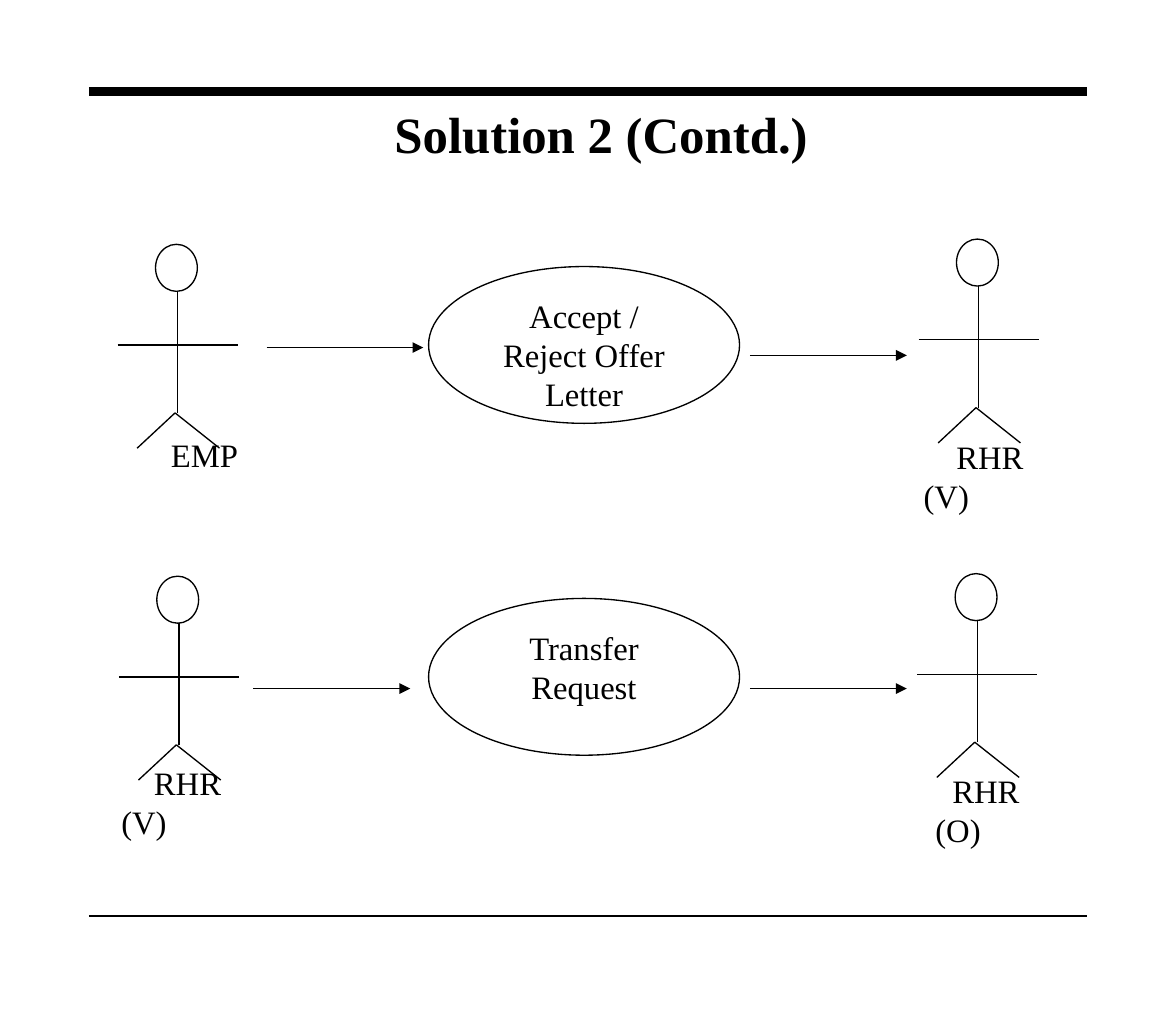
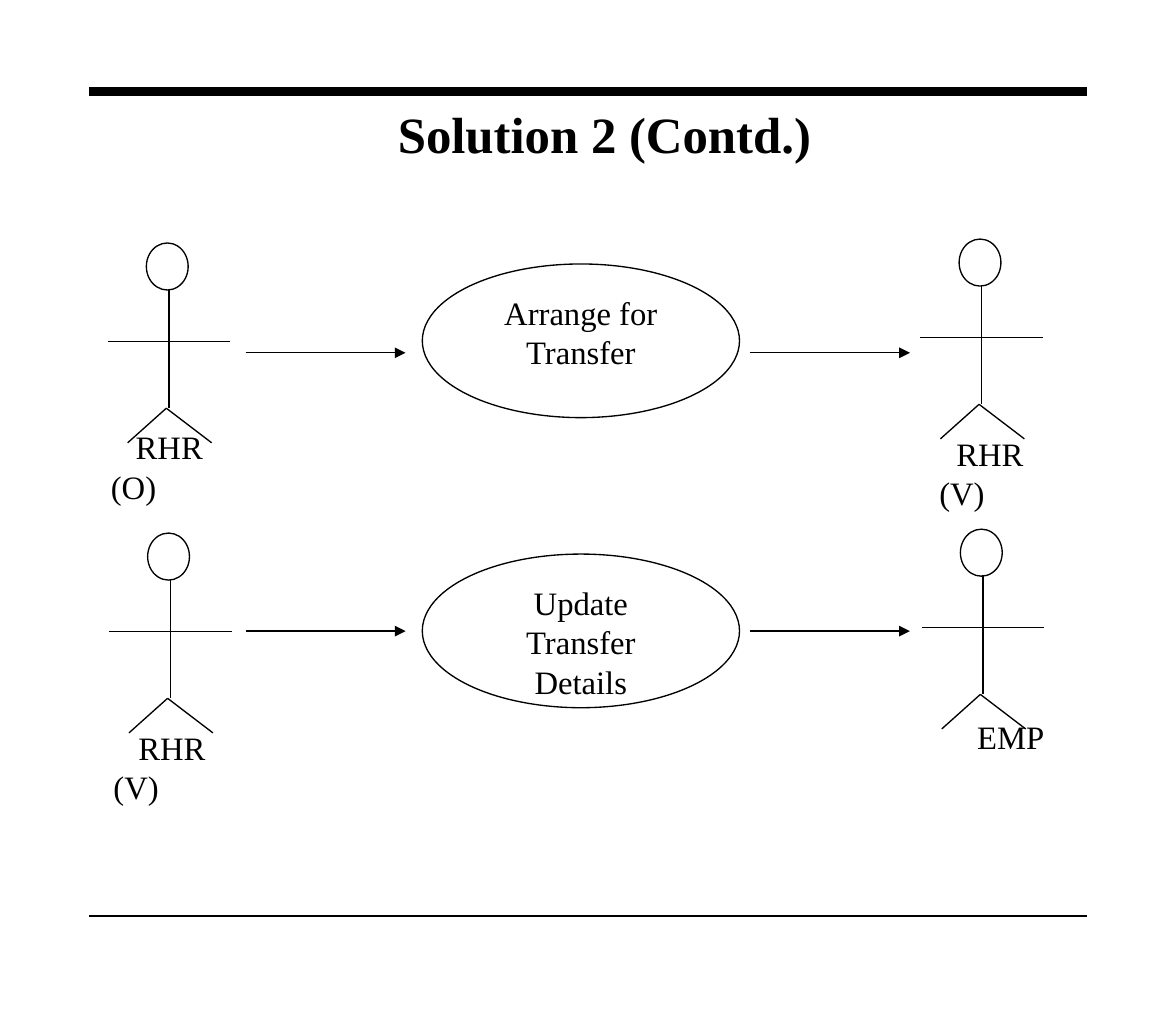
"""Build two slides of actors and use cases for a transfer process."""
from dataclasses import dataclass

from lxml import etree
from pptx import Presentation
from pptx.dml.color import RGBColor
from pptx.enum.shapes import MSO_CONNECTOR, MSO_SHAPE
from pptx.enum.text import MSO_ANCHOR, PP_ALIGN
from pptx.oxml.ns import qn
from pptx.util import Inches, Pt

STRAIGHT = MSO_CONNECTOR.STRAIGHT
OVAL, HEAD = MSO_SHAPE.OVAL, MSO_SHAPE.FLOWCHART_CONNECTOR
TOP, MIDDLE = MSO_ANCHOR.TOP, MSO_ANCHOR.MIDDLE
LEFT, CENTER = PP_ALIGN.LEFT, PP_ALIGN.CENTER


@dataclass
class Theme:
    ink: RGBColor = RGBColor(0, 0, 0)
    font: str = "Times New Roman"
    title: int = 28
    body: int = 18
    thin: float = 0.75
    rule: float = 1
    band: float = 4.5


theme = Theme()


def write(shape, text, size=theme.body, bold=False, align=LEFT, anchor=TOP, indent=0):
    frame = shape.text_frame
    frame.word_wrap = True
    frame.vertical_anchor = anchor
    para = frame.paragraphs[0]
    para.alignment = align
    if indent:
        para._p.get_or_add_pPr().set("indent", str(Inches(indent)))
    run = para.add_run()
    run.text = text
    run.font.name = theme.font
    run.font.size = Pt(size)
    run.font.bold = bold
    run.font.color.rgb = theme.ink


def draw(slide, x1, y1, x2, y2, width=theme.thin, arrow=False):
    ends = [Inches(v) for v in (x1, y1, x2, y2)]
    line = slide.shapes.add_connector(STRAIGHT, *ends)
    line.line.color.rgb = theme.ink
    line.line.width = Pt(width)
    if arrow:
        etree.SubElement(line.line._ln, qn("a:tailEnd"), type="triangle")
    etree.SubElement(line._element.spPr, qn("a:effectLst"))


# Case: text, top, arrow in (x, y), arrow out y.
# Actor: head x, head y, label, label x, label y, label indent.
SLIDES = [
    {
        "title": 2.7, "wide": 1, "tall": 1,
        "cases": [
            ("Accept / Reject Offer Letter", 2.04, 2.04, 2.66, 2.72),
            ("Transfer Request", 4.58, 1.94, 5.27, 5.27),
        ],
        "actors": [
            (7.32, 1.83, "RHR (V)", 6.97, 3.29, 0.25),
            (1.19, 1.87, "EMP", 0.96, 3.28, 0.25),
            (7.31, 4.39, "RHR (O)", 7.06, 5.85, 0.13),
            (1.2, 4.41, "RHR (V)", 0.83, 5.79, 0.25),
        ],
    },
    {
        "title": 2.75, "wide": 1.02, "tall": 0.98,
        "cases": [
            ("Arrange for Transfer", 2.02, 1.88, 2.7, 2.7),
            ("Update Transfer Details", 4.24, 1.88, 4.83, 4.83),
        ],
        "actors": [
            (7.35, 4.05, "EMP", 7.13, 5.44, 0.25),
            (7.34, 1.83, "RHR (V)", 7.09, 3.27, 0.13),
            (1.12, 1.86, "RHR (O)", 0.75, 3.22, 0.19),
            (1.13, 4.08, "RHR (V)", 0.77, 5.52, 0.19),
        ],
    },
]
LIMBS = [
    (0.17, 0.36, 0.17, 1.29),
    (0.15, 1.29, -0.14, 1.56),
    (0.15, 1.29, 0.49, 1.56),
    (-0.29, 0.77, 0.63, 0.77),
]

prs = Presentation()
prs.slide_width, prs.slide_height = Inches(9), Inches(7.89)

for page in SLIDES:
    slide = prs.slides.add_slide(prs.slide_layouts[6])
    wide, tall = page["wide"], page["tall"]
    draw(slide, 0.68, 0.7, 8.32, 0.7, theme.band)
    draw(slide, 0.68, 7.01, 8.32, 7.01, theme.rule)

    rounds = []
    for text, top, start, enter, leave in page["cases"]:
        width = 2.38 * wide
        oval = slide.shapes.add_shape(
            OVAL, Inches(5.66 - width), Inches(top), Inches(width), Inches(1.2 * tall))
        write(oval, text, align=CENTER)
        rounds.append(oval)
        for x, y in ((start, enter), (5.74, leave)):
            draw(slide, x, y, x + 1.2 * wide, y, arrow=True)

    for x, y, name, left, top, indent in page["actors"]:
        rounds.append(slide.shapes.add_shape(
            HEAD, Inches(x), Inches(y), Inches(0.32), Inches(0.36)))
        for x1, y1, x2, y2 in LIMBS:
            draw(slide, x + x1 * wide, y + y1 * tall, x + x2 * wide, y + y2 * tall)
        label = slide.shapes.add_textbox(
            Inches(left), Inches(top), Inches(1.19 * wide), Inches(0.65 * tall))
        write(label, name, indent=indent)

    for shape in rounds:
        shape.shadow.inherit = False
        shape.fill.background()
        shape.line.color.rgb = theme.ink
        shape.line.width = Pt(theme.thin)

    left = page["title"]
    title = slide.shapes.add_textbox(
        Inches(left), Inches(0.77), Inches(6.5 - left), Inches(0.5))
    write(title, "Solution 2 (Contd.)", size=theme.title, bold=True,
          align=CENTER, anchor=MIDDLE)

prs.save("out.pptx")
